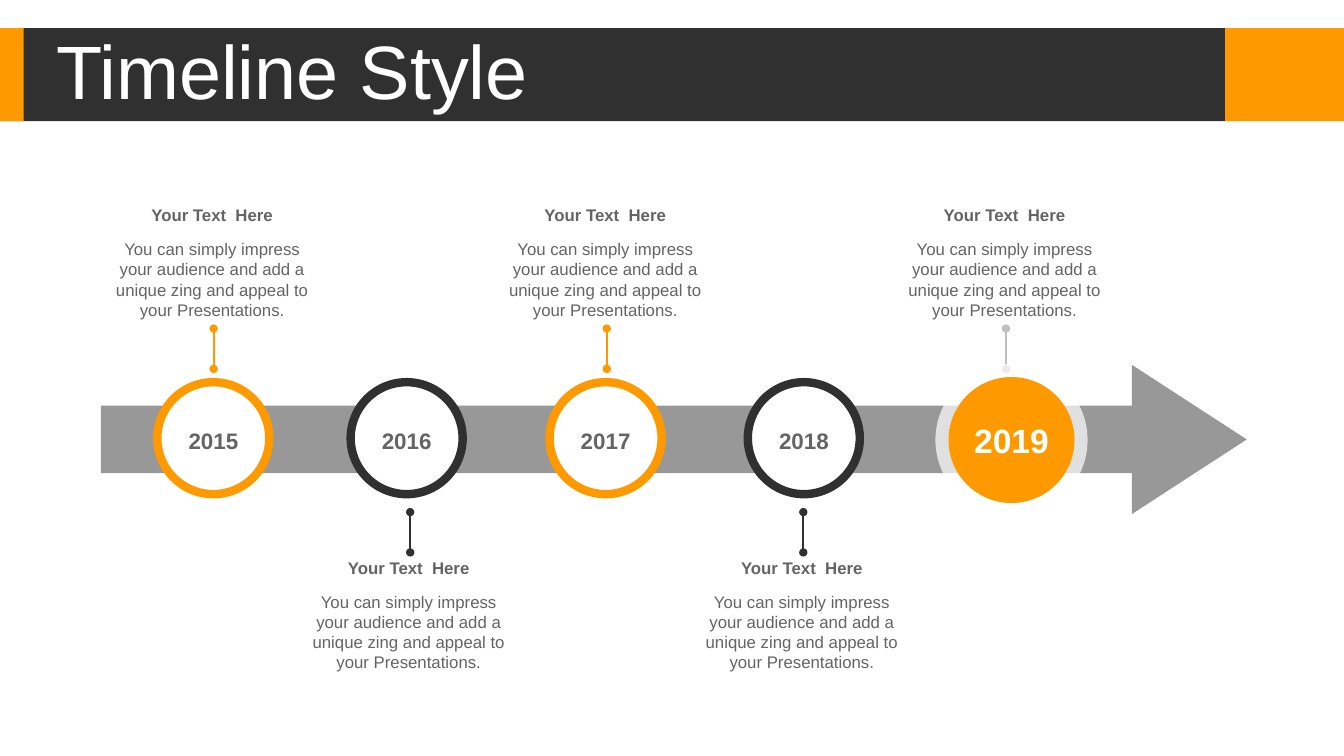
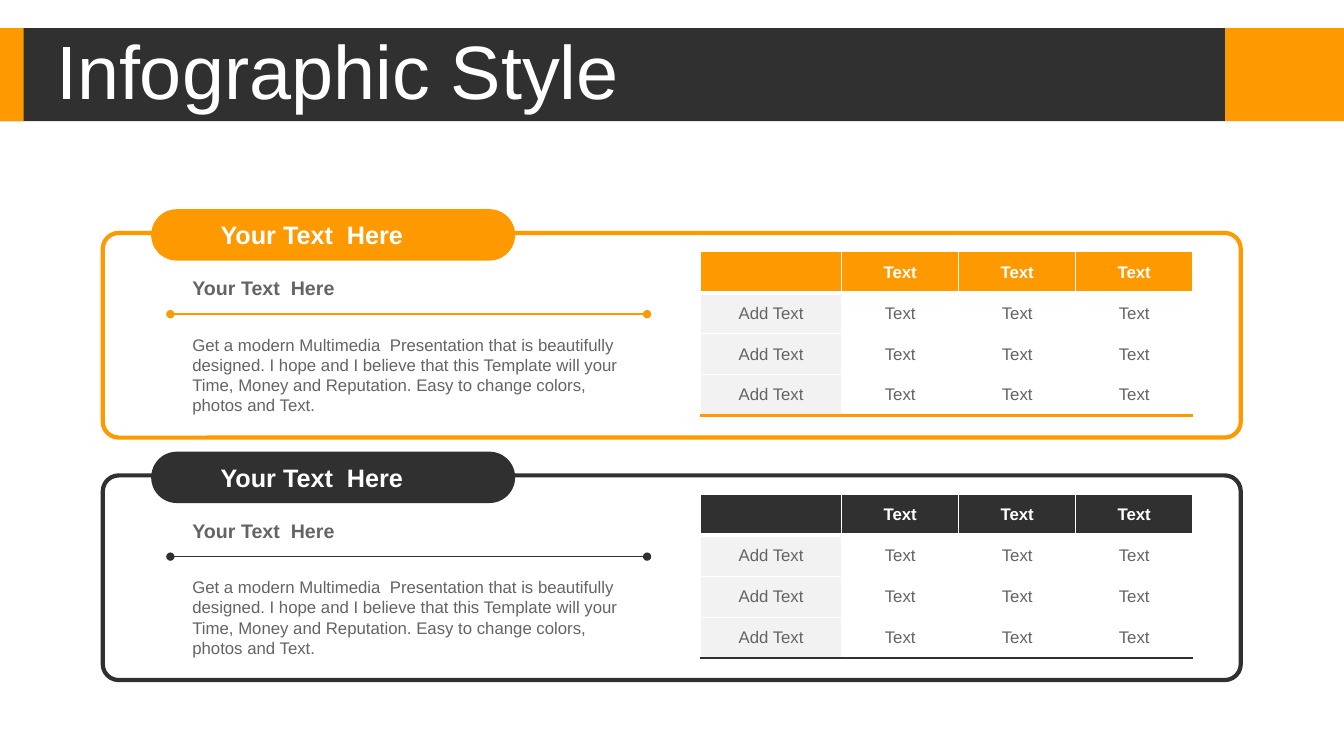
from lxml.etree import SubElement as Sub, Element as Elem
from pptx import Presentation
from pptx.dml.color import RGBColor as Rgb
from pptx.enum.shapes import MSO_CONNECTOR as Conn, MSO_SHAPE as Kind
from pptx.enum.text import MSO_ANCHOR as Anchor, PP_ALIGN as Align
from pptx.oxml.ns import qn
from pptx.util import Pt

HUES = {
    "gold": "FE9900",
    "dark": "303030",
    "band": "989898",
    "pale": "BFBFBF",
    "mist": "F2F2F2",
    "text": "646464",
    "white": "FFFFFF",
}
BASE = {"name": "Arial", "size": Pt(12), "bold": False}
STRONG = {**BASE, "bold": True}
TITLE = {**BASE, "size": Pt(54)}
HEAD = {**STRONG, "size": Pt(18)}
SUBHEAD = {**STRONG, "size": Pt(14)}
YEAR = {**STRONG, "size": Pt(16)}
LAST = {**STRONG, "size": Pt(24)}

LABEL = "Your Text  Here"
NOTE = "You can simply impress your audience and add a unique zing and appeal to your Presentations."
PITCH = (
    "Get a modern Multimedia  Presentation that is beautifully designed. "
    "I hope and I believe that this Template will your Time, Money and "
    "Reputation. Easy to change colors, photos and Text."
)
STOPS = [
    ("2015", 152.4, 152.6, "gold"),
    ("2016", 290.5, 293, "dark"),
    ("2017", 432.6, 433.4, "gold"),
    ("2018", 574.2, 573.8, "dark"),
    ("2019", 722.5, 718.6, "pale"),
]
GRID = [["", "Text", "Text", "Text"]] + [["Add Text", "Text", "Text", "Text"]] * 3


def hue(name):
    return Rgb.from_string(HUES[name])


def apply(thing, form):
    for key, value in form.items():
        setattr(thing, key, value)


def paint(fill, name):
    fill.solid()
    fill.fore_color.rgb = hue(name)


def write(para, words, form, tint, align):
    para.alignment = align
    run = para.add_run()
    run.text = words
    apply(run.font, form)
    run.font.color.rgb = hue(tint)


def add_text(slide, box, words, form, tint="text", align=Align.LEFT, anchor=Anchor.TOP):
    frame = slide.shapes.add_textbox(*map(Pt, box)).text_frame
    apply(frame, {"word_wrap": True, "vertical_anchor": anchor})
    para = frame.paragraphs[0]
    write(para, words, form, tint, align)
    return para


def add_shape(slide, kind, box, tint, edge=None, width=0, bends=(), clear=None):
    shape = slide.shapes.add_shape(kind, *map(Pt, box))
    shape.shadow.inherit = False
    for i, bend in enumerate(bends):
        shape.adjustments[i] = bend
    paint(shape.fill, tint)
    if clear:
        color = shape.element.spPr.find(qn("a:solidFill"))[0]
        Sub(color, qn("a:alpha"), val=str(clear * 1000))
    if edge:
        paint(shape.line.fill, edge)
        shape.line.width = Pt(width)
    else:
        shape.line.fill.background()


def add_disc(slide, x, y, size, tint, **more):
    add_shape(slide, Kind.OVAL, (x - size / 2, y - size / 2, size, size), tint, **more)


def add_line(slide, start, end, tint, width):
    link = slide.shapes.add_connector(Conn.STRAIGHT, *map(Pt, start + end))
    paint(link.line.fill, tint)
    link.line.width = Pt(width)
    props = link.element.spPr
    for tip in ("a:headEnd", "a:tailEnd"):
        Sub(props.find(qn("a:ln")), qn(tip), type="oval")
    Sub(props, qn("a:effectLst"))


def add_edges(cell, foot, tint):
    props = cell._tc.get_or_add_tcPr()
    sides = [("L", 1, "white"), ("R", 1, "white"), ("T", 1, "white"), ("B", foot, tint)]
    for i, (side, width, name) in enumerate(sides):
        line = Elem(qn("a:ln" + side), w=str(Pt(width)))
        Sub(Sub(line, qn("a:solidFill")), qn("a:srgbClr"), val=HUES[name])
        props.insert(i, line)


def add_grid(slide, x, y, tint, foot):
    wide, slim, high = 100.8, 83.6, 29.25
    rows, cols = len(GRID), len(GRID[0])
    box = (x, y, wide + slim * (cols - 1), high * rows)
    table = slide.shapes.add_table(rows, cols, *map(Pt, box)).table
    table.horz_banding = False
    for c, col in enumerate(table.columns):
        col.width = Pt(slim if c else wide)
    for r, row in enumerate(GRID):
        table.rows[r].height = Pt(high)
        for c, words in enumerate(row):
            cell = table.cell(r, c)
            cell.vertical_anchor = Anchor.MIDDLE
            paint(cell.fill, "white" if r and c else "mist" if r else tint)
            if r == rows - 1:
                add_edges(cell, foot, tint)
            else:
                add_edges(cell, 1 if r else 3, "white")
            if words:
                form, ink = (BASE, "text") if r else (STRONG, "white")
                write(cell.text_frame.paragraphs[0], words, form, ink, Align.CENTER)


def add_page(deck, title):
    slide = deck.slides.add_slide(deck.slide_layouts[6])
    for x, width, tint in [(875, 85, "gold"), (0, 875, "dark"), (0, 17, "gold")]:
        add_shape(slide, Kind.RECTANGLE, (x, 20, width, 66.6), tint)
    para = add_text(slide, (33, 25, 698, 57), title, TITLE, "white", anchor=Anchor.MIDDLE)
    para.line_spacing = 0.9
    return slide


def add_note(slide, mid, top):
    left, width = mid - 80, 158
    add_text(slide, (left, top, width, 22), LABEL, STRONG, align=Align.CENTER)
    add_text(slide, (left, top + 24.5, width, 65.5), NOTE, BASE, align=Align.CENTER)


def add_year(slide, x, y, words, form, tint):
    box = (x - 35, y - 18, 70, 36)
    add_text(slide, box, words, form, tint, Align.CENTER, Anchor.MIDDLE)


def add_time(deck):
    slide = add_page(deck, "Timeline Style")
    box = (72, 260.6, 818.6, 106.6)
    add_shape(slide, Kind.RIGHT_ARROW, box, "band", bends=(0.453, 0.77))
    for i, (year, x, mid, tint) in enumerate(STOPS):
        add_note(slide, mid, 394.6 if i % 2 else 142.6)
        foot = 394.6 if i % 2 else 263.5
        add_line(slide, (mid, foot), (mid, foot - 28.8), tint, 1.5)
        if i < len(STOPS) - 1:
            add_disc(slide, x, 313, 80, "white", edge=tint, width=6)
            add_year(slide, x, 315, year, YEAR, "text")
        else:
            add_disc(slide, x, 314.3, 108.7, "white", clear=70)
            add_disc(slide, x, 314.3, 90, "gold")
            add_year(slide, x, 314.3, year, LAST, "white")


def add_panel(slide, top, tint, foot):
    box = (73.4, top, 812.9, 146.2)
    add_shape(slide, Kind.ROUNDED_RECTANGLE, box, "white", tint, 3, (0.078,), 50)
    add_grid(slide, 500.4, top + 13.5, tint, foot)
    box = (108, top - 17, 260, 36.7)
    add_shape(slide, Kind.ROUNDED_RECTANGLE, box, tint, bends=(0.5,))
    add_line(slide, (121.7, top + 58), (462.2, top + 58), tint, 1)
    add_text(slide, (130.3, top + 69, 329, 65.5), PITCH, BASE)
    add_text(slide, (130.3, top + 27.2, 193, 24.5), LABEL, SUBHEAD)
    add_text(slide, (150.5, top - 13.2, 175.7, 28.8), LABEL, HEAD, "white")


def add_info(deck):
    slide = add_page(deck, "Infographic Style")
    for i, (tint, foot) in enumerate([("gold", 3), ("dark", 2.25)]):
        add_panel(slide, 166.4 + 173.2 * i, tint, foot)


def main():
    deck = Presentation()
    apply(deck, {"slide_width": Pt(960), "slide_height": Pt(540)})
    add_time(deck)
    add_info(deck)
    deck.save("out.pptx")


if __name__ == "__main__":
    main()
